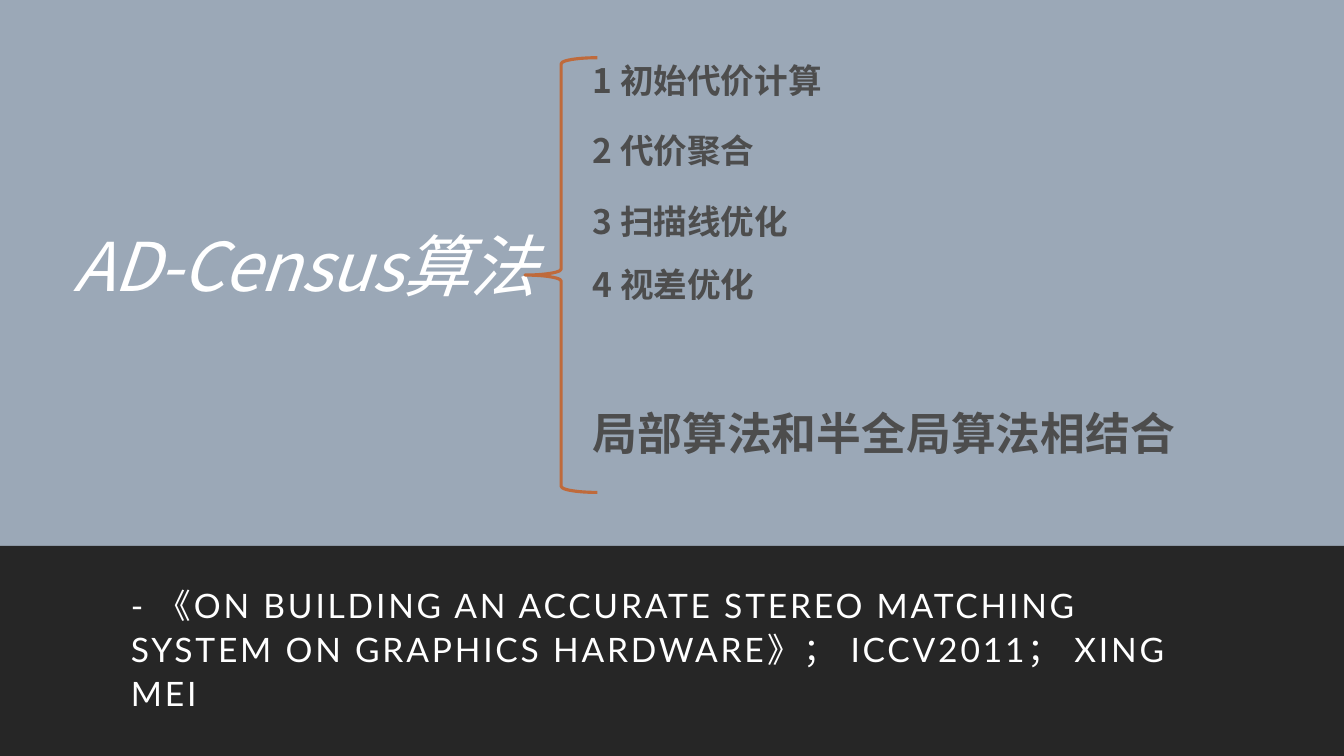
from lxml.etree import SubElement
from pptx import Presentation
from pptx.dml.color import RGBColor
from pptx.enum.shapes import MSO_SHAPE
from pptx.enum.text import MSO_ANCHOR, MSO_AUTO_SIZE, PP_ALIGN
from pptx.oxml.ns import qn
from pptx.util import Emu, Pt

PX = 9525  # EMU, 96 px to the inch
SLIDE_W, SLIDE_H = 1280, 720
BAND_TOP = 520
STEP_LEFT, STEP_W = 555, 640

SLATE, CHARCOAL, WHITE = "9BA8B7", "262626", "FFFFFF"
RUST, GRAY = "BF6A3B", "4D4D4D"
HAN_FONT, LATIN_FONT = "Noto Sans CJK SC", "Lato"

STEPS = [
    (52, "1 初始代价计算"),
    (119, "2 代价聚合"),
    (187, "3 扫描线优化"),
    (247, "4 视差优化"),
]


def px(*lengths):
    return [Emu(length * PX) for length in lengths]


def rgb(color):
    return RGBColor.from_string(color)


def write(shape, text, size, color, font=HAN_FONT, bold=False, italic=False,
          tracking=0, anchor=MSO_ANCHOR.TOP):
    """Fill the shape with one left-aligned paragraph and return it."""
    frame = shape.text_frame
    frame.text = text
    frame.word_wrap = True
    frame.auto_size = MSO_AUTO_SIZE.NONE
    frame.vertical_anchor = anchor
    paragraph = frame.paragraphs[0]
    paragraph.alignment = PP_ALIGN.LEFT
    style = paragraph.font
    style.size = Pt(size)
    style.bold = bold
    style.italic = italic
    style.name = font
    style.color.rgb = rgb(color)
    properties = paragraph._p.pPr.find(qn("a:defRPr"))
    properties.set("spc", str(int(tracking * 100)))
    SubElement(properties, qn("a:ea")).set("typeface", HAN_FONT)
    return paragraph


def place(placeholder, left, top, width, height):
    placeholder.left, placeholder.top, placeholder.width, placeholder.height = px(
        left, top, width, height)


def add_panel(slide, depth, top, height, color):
    """Add a full-width panel behind the placeholders, depth 0 at the very back."""
    panel = slide.shapes.add_shape(MSO_SHAPE.RECTANGLE, *px(0, top, SLIDE_W, height))
    panel.shadow.inherit = False
    panel.fill.solid()
    panel.fill.fore_color.rgb = rgb(color)
    panel.line.fill.background()
    slide.shapes._spTree.insert(2 + depth, panel._element)


def add_brace(slide, left, top, width, height):
    brace = slide.shapes.add_shape(MSO_SHAPE.LEFT_BRACE, *px(left, top, width, height))
    brace.shadow.inherit = False
    brace.fill.background()
    brace.line.color.rgb = rgb(RUST)
    brace.line.width = Pt(2.25)


def add_label(slide, top, height, text, size):
    label = slide.shapes.add_textbox(*px(STEP_LEFT, top, STEP_W, height))
    write(label, text, size, GRAY, bold=True)


def main():
    presentation = Presentation()
    presentation.slide_width, presentation.slide_height = px(SLIDE_W, SLIDE_H)
    slide = presentation.slides.add_slide(presentation.slide_layouts[0])

    add_panel(slide, 0, 0, SLIDE_H, SLATE)
    add_panel(slide, 1, BAND_TOP, SLIDE_H - BAND_TOP, CHARCOAL)

    title = slide.shapes.title
    place(title, 60, 52, 473, 409)
    heading = write(title, "AD-Census算法", 48, WHITE, italic=True,
                    tracking=-0.5, anchor=MSO_ANCHOR.MIDDLE)
    heading.line_spacing = 0.9

    citation = slide.placeholders[1]
    place(citation, 115, 548, 1056, 120)
    reference = write(
        citation,
        "- 《ON BUILDING AN ACCURATE STEREO MATCHING SYSTEM ON GRAPHICS HARDWARE》；"
        " ICCV2011； XING MEI",
        24, WHITE, font=LATIN_FONT, tracking=2)
    reference.line_spacing = 1.1
    reference.space_before = Pt(12)
    reference.space_after = Pt(2)

    add_brace(slide, 500, 55, 69, 414)
    for top, step in STEPS:
        add_label(slide, top, 48, step, 24)
    add_label(slide, 382, 61, "局部算法和半全局算法相结合", 32)

    presentation.save("out.pptx")


if __name__ == "__main__":
    main()
